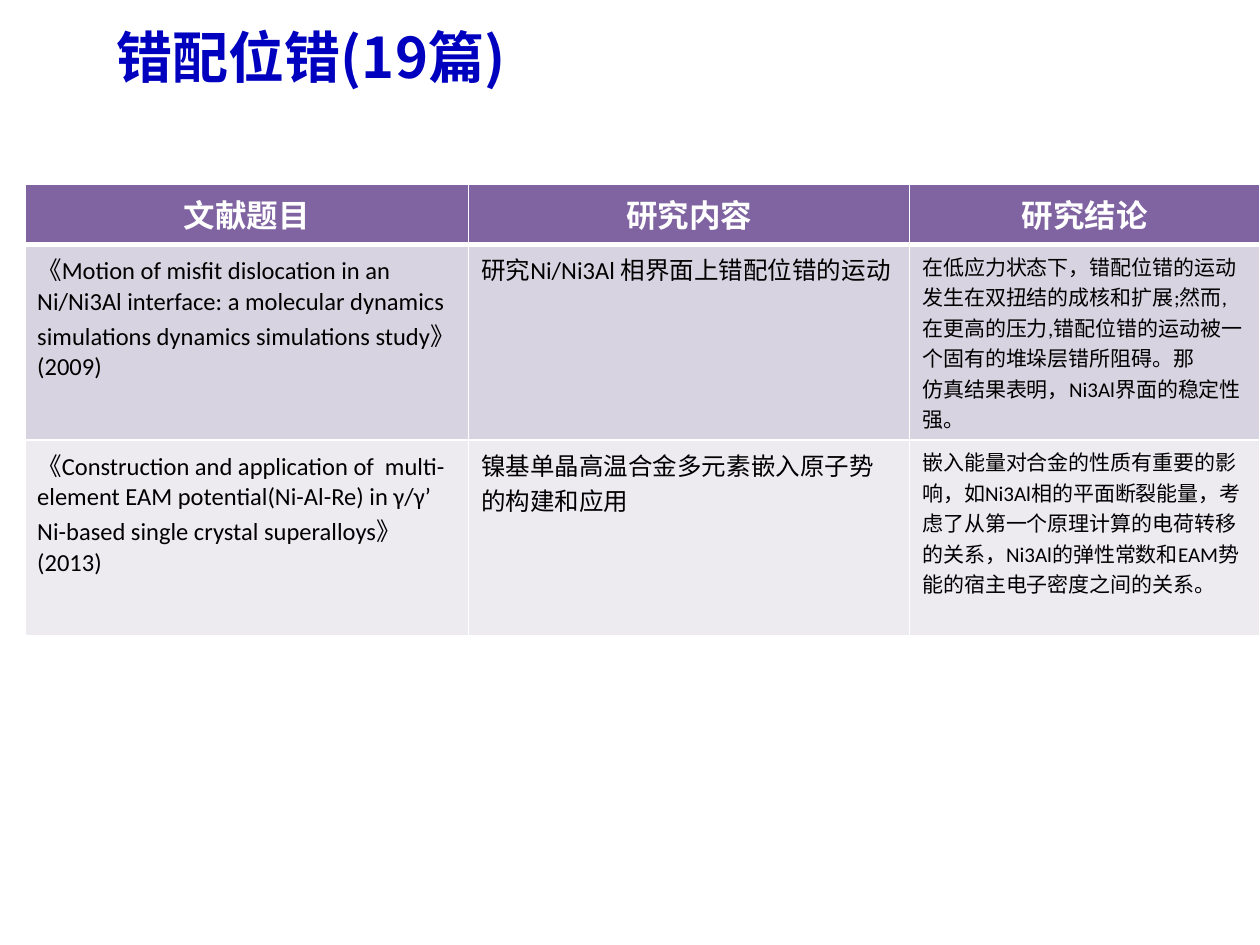
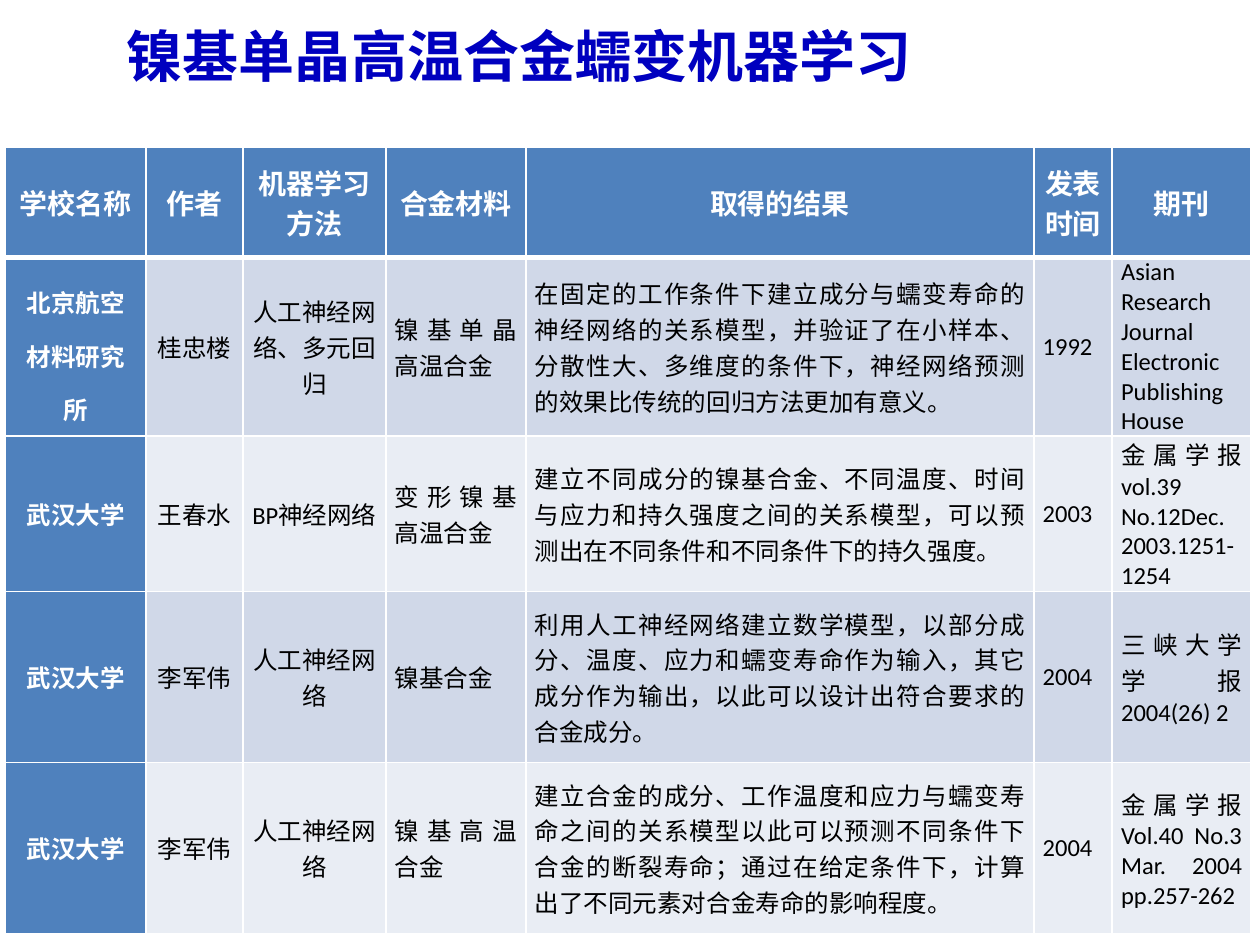
import pptx
import pptx.dml.color
import pptx.enum.text
import pptx.oxml
import pptx.oxml.ns
import pptx.util
from pptx.util import Cm

COLORS = {
    "title": "0000BF",
    "white": "FFFFFF",
    "black": "000000",
    "purple": "8064A2",
    "purple_bands": ("D8D3E0", "EDEAF0"),
    "blue": "4F81BD",
    "blue_bands": ("D0D8E8", "E9EDF4"),
}
CJK_FONT = "Noto Sans CJK SC"
LATIN_FONT = "Calibri"
SERIF_FONT = "Times New Roman"
ALIGN = pptx.enum.text.PP_ALIGN
MIDDLE = pptx.enum.text.MSO_ANCHOR.MIDDLE
TOP = pptx.enum.text.MSO_ANCHOR.TOP

PAPERS = [
    ["文献题目", "研究内容", "研究结论"],
    [
        "《Motion of misfit dislocation in an Ni/Ni3Al interface: a molecular dynamics "
        "simulations dynamics simulations study》(2009)",
        "研究Ni/Ni3Al 相界面上错配位错的运动",
        "在低应力状态下，错配位错的运动发生在双扭结的成核和扩展;然而,在更高的压力,"
        "错配位错的运动被一个固有的堆垛层错所阻碍。那\n"
        "仿真结果表明，Ni3Al界面的稳定性强。",
    ],
    [
        "《Construction and application of  multi-element EAM potential(Ni-Al-Re) "
        "in γ/γ’ Ni-based single crystal superalloys》(2013)",
        "镍基单晶高温合金多元素嵌入原子势的构建和应用",
        "嵌入能量对合金的性质有重要的影响，如Ni3Al相的平面断裂能量，"
        "考虑了从第一个原理计算的电荷转移的关系，"
        "Ni3Al的弹性常数和EAM势能的宿主电子密度之间的关系。",
    ],
]
STUDIES = [
    ["学校名称", "作者", "机器学习方法", "合金材料", "取得的结果", "发表\n时间", "期刊"],
    [
        "北京航空材料研究所", "桂忠楼", "人工神经网络、多元回归", "镍基单晶高温合金",
        "在固定的工作条件下建立成分与蠕变寿命的神经网络的关系模型，并验证了在小样本、"
        "分散性大、多维度的条件下，神经网络预测的效果比传统的回归方法更加有意义。",
        "1992", "Asian Research Journal Electronic Publishing House",
    ],
    [
        "武汉大学", "王春水", "BP神经网络", "变形镍基高温合金",
        "建立不同成分的镍基合金、不同温度、时间与应力和持久强度之间的关系模型，"
        "可以预测出在不同条件和不同条件下的持久强度。",
        "2003", "金属学报 vol.39 No.12Dec. 2003.1251-1254",
    ],
    [
        "武汉大学", "李军伟", "人工神经网络", "镍基合金",
        "利用人工神经网络建立数学模型，以部分成分、温度、应力和蠕变寿命作为输入，"
        "其它成分作为输出，以此可以设计出符合要求的合金成分。",
        "2004", "三峡大学学报 2004(26) 2",
    ],
    [
        "武汉大学", "李军伟", "人工神经网络", "镍基高温合金",
        "建立合金的成分、工作温度和应力与蠕变寿命之间的关系模型以此可以预测不同条件下"
        "合金的断裂寿命；通过在给定条件下，计算出了不同元素对合金寿命的影响程度。",
        "2004", "金属学报 Vol.40 No.3 Mar. 2004 pp.257-262",
    ],
]


def write_text(frame, text, size=14, color="black", bold=False, font=LATIN_FONT,
               align=ALIGN.LEFT, spacing=None):
    frame.word_wrap = True
    for index, line in enumerate(text.split("\n")):
        para = frame.add_paragraph() if index else frame.paragraphs[0]
        para.alignment = align
        para.line_spacing = spacing
        span = para.add_run()
        span.text = line
        span.font.size = pptx.util.Pt(size)
        span.font.bold = bold
        span.font.name = font
        span.font.color.rgb = pptx.dml.color.RGBColor.from_string(COLORS[color])
        east_asian = pptx.oxml.parse_xml(
            f'<a:ea {pptx.oxml.ns.nsdecls("a")} typeface="{CJK_FONT}"/>')
        span.font._element.find(pptx.oxml.ns.qn("a:latin")).addnext(east_asian)


def add_title(page, text, left, top):
    box = page.shapes.add_textbox(left, top, Cm(22.86), Cm(2.21))
    box.text_frame.vertical_anchor = MIDDLE
    write_text(box.text_frame, text, size=32, color="title", bold=True, font=CJK_FONT)


def set_borders(cell, top=1, bottom=1):
    properties = cell._tc.get_or_add_tcPr()
    for index, (side, points) in enumerate(
            (("L", 1), ("R", 1), ("T", top), ("B", bottom))):
        line = pptx.oxml.parse_xml(
            f'<a:ln{side} {pptx.oxml.ns.nsdecls("a")} w="{pptx.util.Pt(points)}">'
            f'<a:solidFill><a:srgbClr val="{COLORS["white"]}"/></a:solidFill></a:ln{side}>')
        properties.insert(index, line)


def fill_cell(cell, text, fill, insets, anchor, **text_format):
    cell.fill.solid()
    cell.fill.fore_color.rgb = pptx.dml.color.RGBColor.from_string(fill)
    cell.vertical_anchor = anchor
    cell.margin_left = cell.margin_right = Cm(insets[0])
    cell.margin_top = cell.margin_bottom = Cm(insets[1])
    write_text(cell.text_frame, text, **text_format)


def add_grid(page, rows, left, top, widths, heights, accent, header_size,
             format_cell, header_insets, body_insets, anchor, first_column=False):
    grid = page.shapes.add_table(
        len(rows), len(widths), left, top, Cm(sum(widths)), Cm(sum(heights))).table
    grid.first_row = grid.horz_banding = False
    for column, width in zip(grid.columns, widths):
        column.width = Cm(width)
    for row, height in zip(grid.rows, heights):
        row.height = Cm(height)
    for r, texts in enumerate(rows):
        for c, text in enumerate(texts):
            cell = grid.cell(r, c)
            heading = r == 0 or (first_column and c == 0)
            fill = COLORS[accent] if heading else COLORS[accent + "_bands"][(r - 1) % 2]
            text_format = {"color": "white", "bold": True} if heading else {}
            if r == 0:
                text_format.update(size=header_size, align=ALIGN.CENTER)
            else:
                text_format.update(format_cell(r, c))
            fill_cell(cell, text, fill, body_insets if r else header_insets,
                      anchor, **text_format)
            set_borders(cell, top=3 if r == 1 else 1, bottom=1 if r else 3)


def format_paper(row, column):
    return {"size": 12 if column == 2 else 14}


def format_study(row, column):
    style = {"align": ALIGN.CENTER if column < 3 else ALIGN.JUSTIFY}
    if (row, column) in ((1, 0), (2, 4), (3, 4)):
        style["font"] = SERIF_FONT
    if (row, column) == (1, 0):
        style["spacing"] = 1.5
    return style


def main():
    deck = pptx.Presentation()
    deck.slide_width, deck.slide_height = Cm(25.4), Cm(19.05)
    blank = deck.slide_layouts[6]

    page = deck.slides.add_slide(blank)
    add_title(page, "错配位错(19篇)", Cm(2.1), Cm(0.03))
    add_grid(page, PAPERS, Cm(0.5), Cm(3.72), (8.95, 8.89, 7.06), (1.21, 3.94, 3.94),
             "purple", 18, format_paper, (0.25, 0.13), (0.25, 0.13), TOP)

    page = deck.slides.add_slide(blank)
    add_title(page, "镍基单晶高温合金蠕变机器学习", Cm(2.31), Cm(0))
    add_grid(page, STUDIES, Cm(0.11), Cm(2.97),
             (2.83, 1.96, 2.88, 2.82, 10.24, 1.58, 2.8), (2.22, 3.6, 3.13, 3.45, 3.45),
             "blue", 16, format_study, (0.05, 0), (0.18, 0), MIDDLE, first_column=True)

    deck.save("out.pptx")


if __name__ == "__main__":
    main()
